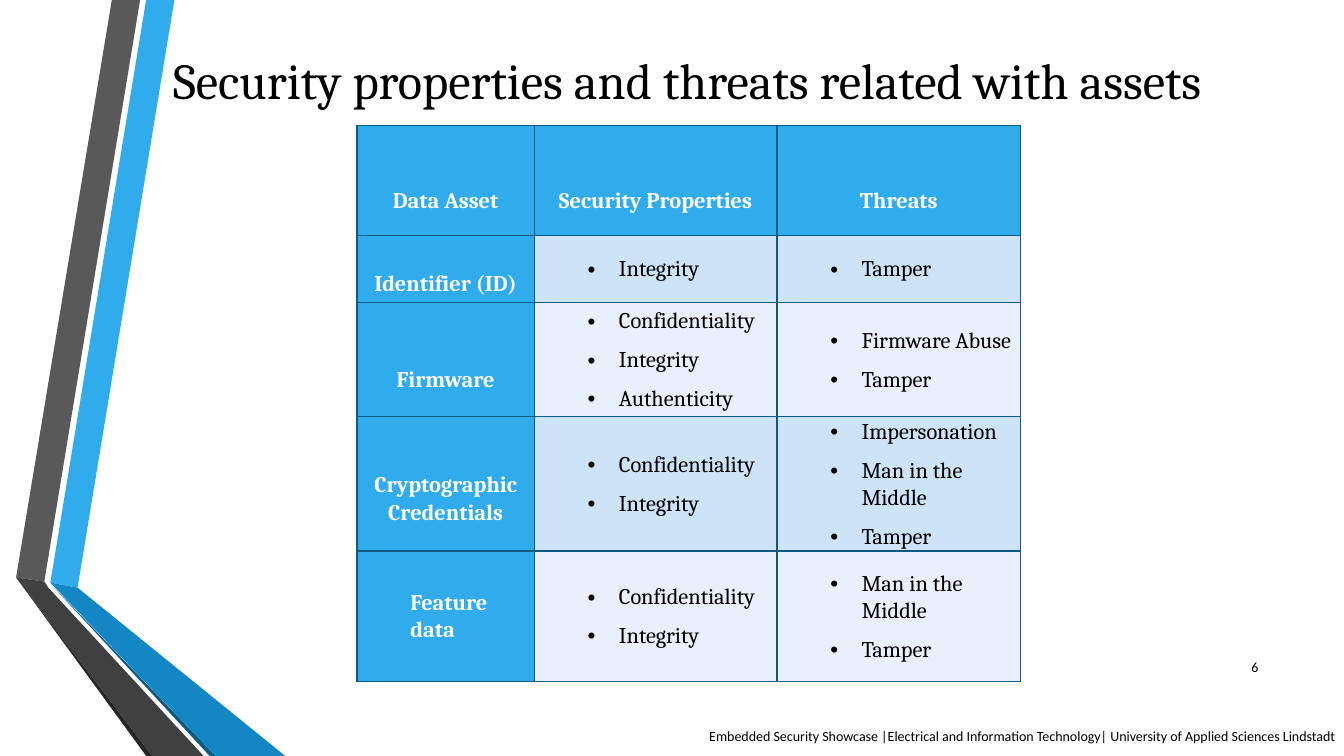
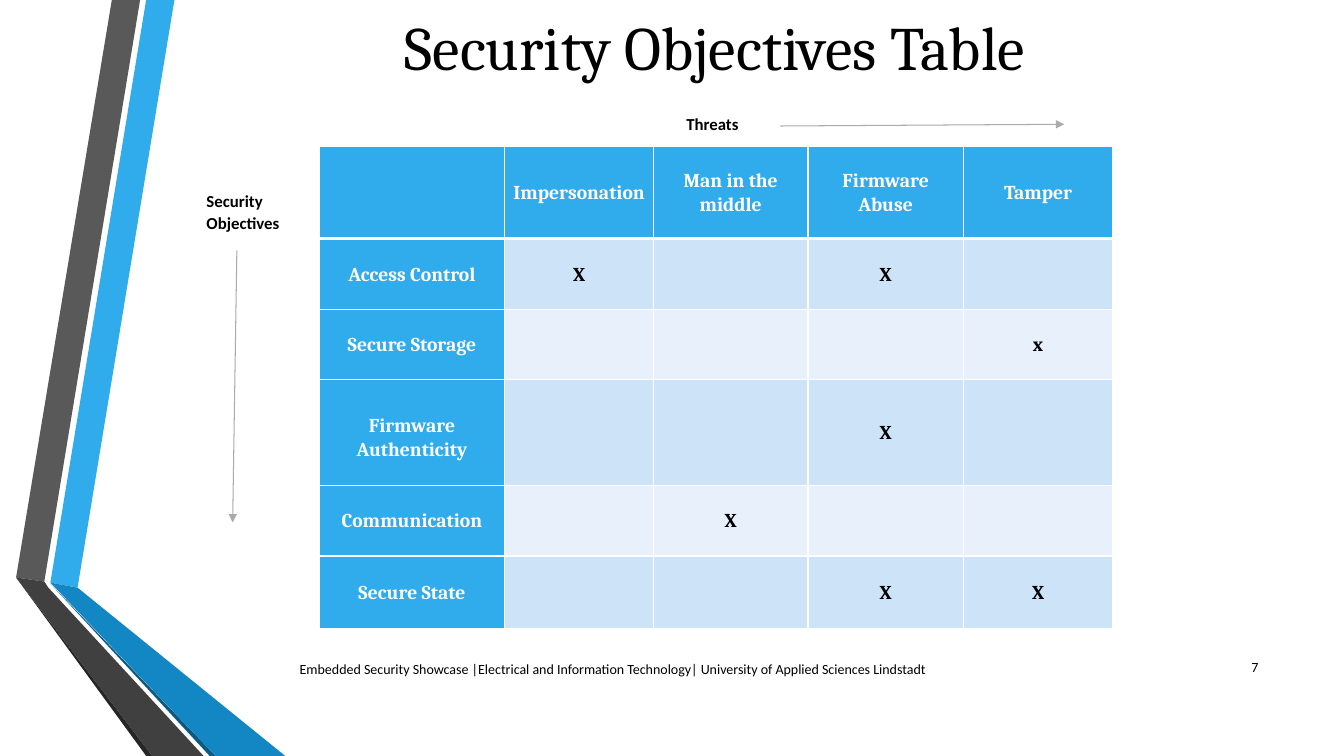
from dataclasses import dataclass

from lxml import etree
from pptx import Presentation
from pptx.dml.color import RGBColor
from pptx.enum.shapes import MSO_CONNECTOR
from pptx.enum.text import MSO_ANCHOR, MSO_AUTO_SIZE, PP_ALIGN
from pptx.oxml.ns import qn
from pptx.util import Inches, Pt

LEFT, CENTER, RIGHT = PP_ALIGN.LEFT, PP_ALIGN.CENTER, PP_ALIGN.RIGHT
TOP, MIDDLE = MSO_ANCHOR.TOP, MSO_ANCHOR.MIDDLE
NO_FIT = MSO_AUTO_SIZE.NONE
STRAIGHT = MSO_CONNECTOR.STRAIGHT

WIDTH, HEIGHT = Inches(13.33), Inches(7.5)
GRID_COLUMNS, GRID_ROWS = 160, 90
TITLE_ONLY = 5
FIRST_NUMBER = 6
PLAIN_TABLE = "{2D5ABB26-0587-4C30-8999-92F81FD0307C}"
FOOTER = ("Embedded Security Showcase |Electrical and Information Technology"
          "| University of Applied Sciences Lindstadt")


@dataclass(frozen=True)
class Theme:
    accent: str = "30ACEC"
    accent_dark: str = "1287C3"
    accent_deep: str = "0C5A82"
    gray: str = "595959"
    gray_dark: str = "404040"
    gray_deep: str = "262626"
    arrow: str = "ABABAB"
    band_dark: str = "CDE3F8"
    band_light: str = "E8F1FB"
    ink: str = "000000"
    white: str = "FFFFFF"
    serif: str = "Cambria"
    sans: str = "Calibri"
    footer_size: int = 10
    label_size: int = 12
    matrix_size: int = 14
    asset_size: int = 16
    line_spacing: float = 1.07
    space_after: int = 8


THEME = Theme()

RIBBONS = [
    (THEME.accent, [(0.5, 5.78), (0.77, 5.83), (1.73, 0), (1.45, 0)]),
    (THEME.gray, [(1.39, 0), (1.11, 0), (0.16, 5.73), (0.44, 5.77)]),
    (THEME.gray_deep, [(0.16, 5.73), (1.45, 7.5), (1.51, 7.5)]),
    (THEME.accent_deep, [(0.5, 5.79), (2.08, 7.5), (2.14, 7.5)]),
    (THEME.accent_dark, [(0.5, 5.78), (2.14, 7.5), (2.83, 7.5), (0.77, 5.83)]),
    (THEME.gray_dark, [(0.16, 5.73), (1.51, 7.5), (2.02, 7.5), (0.48, 5.83), (0.44, 5.77)]),
]

ASSET_HEADS = ["Data Asset", "Security Properties", "Threats"]
ASSETS = [
    ("Identifier (ID)", ["Integrity"], ["Tamper"]),
    ("Firmware", ["Confidentiality", "Integrity", "Authenticity"],
     ["Firmware Abuse", "Tamper"]),
    ("Cryptographic Credentials", ["Confidentiality", "Integrity"],
     ["Impersonation", "Man in the Middle", "Tamper"]),
    ("Feature\vdata", ["Confidentiality", "Integrity"],
     ["Man in the Middle", "Tamper"]),
]
ASSET_DROPS = [0.4, 0.29, 0.4, 0.29, 0]

THREATS = ["", "Impersonation", "Man in the middle", "Firmware Abuse", "Tamper"]
OBJECTIVES = [
    ("Access Control", "X", "", "X", ""),
    ("Secure Storage", "", "", "", "x"),
    ("Firmware Authenticity", "", "", "X", ""),
    ("Communication", "", "X", "", ""),
    ("Secure State", "", "", "X", "X"),
]


def across(columns):
    return round(WIDTH * columns / GRID_COLUMNS)


def down(rows):
    return round(HEIGHT * rows / GRID_ROWS)


def place(box):
    left, top, width, height = box
    return across(left), down(top), across(width), down(height)


def color(value):
    return RGBColor.from_string(value)


def style(para, face, size, ink=THEME.ink, bold=False, align=LEFT):
    para.alignment = align
    font = para.font
    font.name, font.size, font.bold = face, Pt(size), bold
    font.color.rgb = color(ink)


def space(para):
    para.line_spacing = THEME.line_spacing
    para.space_after = Pt(THEME.space_after)


def indent(para, left, first=0):
    properties = para._p.get_or_add_pPr()
    properties.set("marL", str(Inches(left)))
    properties.set("indent", str(Inches(first)))
    return properties


def bullet(para):
    properties = indent(para, 0.81, -0.31)
    etree.SubElement(properties, qn("a:buFont"), typeface="Arial")
    etree.SubElement(properties, qn("a:buChar"), char="•")


def add_ribbons(page, layout):
    tree = layout.element.cSld.spTree
    for position, (fill, points) in enumerate(RIBBONS, start=2):
        corners = [(Inches(x), Inches(y)) for x, y in points]
        builder = page.shapes.build_freeform(*corners[0])
        builder.add_line_segments(corners[1:], close=True)
        ribbon = builder.convert_to_shape()
        ribbon.shadow.inherit = False
        ribbon.fill.solid()
        ribbon.fill.fore_color.rgb = color(fill)
        ribbon.line.fill.background()
        tree.insert(position, ribbon.element)


def add_title(page, box, text, size, align):
    title = page.shapes.title
    title.left, title.top, title.width, title.height = place(box)
    frame = title.text_frame
    frame.text = text
    frame.auto_size = NO_FIT
    frame.vertical_anchor = MIDDLE
    style(frame.paragraphs[0], THEME.serif, size, align=align)


def add_text(page, box, text, size, align=LEFT, bold=False, anchor=TOP):
    frame = page.shapes.add_textbox(*place(box)).text_frame
    frame.word_wrap = True
    frame.vertical_anchor = anchor
    para = frame.paragraphs[0]
    para.text = text
    style(para, THEME.sans, size, bold=bold, align=align)
    return para


def add_footer(page, box, align, number):
    add_text(page, box, FOOTER, THEME.footer_size, align, anchor=MIDDLE)
    para = add_text(page, (143.8, 77, 7.2, 4.8), "", THEME.footer_size, RIGHT, anchor=MIDDLE)
    field = etree.SubElement(para._p, qn("a:fld"), type="slidenum",
                             id="{B6F15528-21DE-4FAA-801E-634DDDAF4B2B}")
    etree.SubElement(field, qn("a:rPr"), lang="en-US")
    etree.SubElement(field, qn("a:t")).text = str(number)


def add_arrow(page, start, end):
    arrow = page.shapes.add_connector(
        STRAIGHT, across(start[0]), down(start[1]), across(end[0]), down(end[1]))
    arrow.line.color.rgb = color(THEME.arrow)
    arrow.line.width = Pt(0.75)
    properties = arrow.element.spPr
    etree.SubElement(properties.find(qn("a:ln")), qn("a:tailEnd"), type="triangle")
    etree.SubElement(properties, qn("a:effectLst"))


def set_borders(cell, ink, widths):
    properties = cell._tc.get_or_add_tcPr()
    for position, (side, width) in enumerate(widths.items()):
        line = etree.Element(qn("a:ln" + side), w=str(Pt(width)))
        fill = etree.SubElement(line, qn("a:solidFill"))
        etree.SubElement(fill, qn("a:srgbClr"), val=ink)
        properties.insert(position, line)


def add_table(page, corner, columns, rows, border, header_rule, side_margin):
    box = (*corner, sum(columns), sum(rows))
    frame = page.shapes.add_table(len(rows), len(columns), *place(box))
    for identifier in frame.element.iter(qn("a:tableStyleId")):
        identifier.text = PLAIN_TABLE
    table = frame.table
    table.first_row = table.horz_banding = False
    for column, width in zip(table.columns, columns):
        column.width = across(width)
    for row, height in zip(table.rows, rows):
        row.height = down(height)
    for row in range(len(rows)):
        for column in range(len(columns)):
            cell = table.cell(row, column)
            band = THEME.band_dark if row % 2 else THEME.band_light
            cell.fill.solid()
            cell.fill.fore_color.rgb = color(band if row and column else THEME.accent)
            cell.vertical_anchor = MIDDLE
            cell.margin_left = cell.margin_right = Inches(side_margin)
            cell.margin_top = cell.margin_bottom = 0
            set_borders(cell, border, {
                "L": 1, "R": 1,
                "T": header_rule if row == 1 else 1,
                "B": header_rule if row == 0 else 1})
    return table


def write_cell(cell, text, size, ink, drop=0):
    cell.margin_top = Inches(drop)
    para = cell.text_frame.paragraphs[0]
    para.text = text
    space(para)
    style(para, THEME.serif, size, ink, True, CENTER)
    return para


def write_bullets(cell, items):
    frame = cell.text_frame
    for position, item in enumerate(items):
        para = frame.add_paragraph() if position else frame.paragraphs[0]
        para.text = item
        space(para)
        bullet(para)
        style(para, THEME.serif, THEME.asset_size)


def build_assets(page, number):
    table = add_table(page, (42.5, 14.9), [21.1, 28.9, 29], [13.1, 8, 13.6, 16, 15.5],
                      THEME.accent_deep, 1, 0.03)
    for column, head in enumerate(ASSET_HEADS):
        write_cell(table.cell(0, column), head, THEME.asset_size, THEME.white, ASSET_DROPS[0])
    for row, (asset, *lists) in enumerate(ASSETS, start=1):
        label = write_cell(table.cell(row, 0), asset, THEME.asset_size,
                           THEME.white, ASSET_DROPS[row])
        for column, items in enumerate(lists, start=1):
            write_bullets(table.cell(row, column), items)
    label.alignment = LEFT
    indent(label, 0.5)
    add_footer(page, (67.1, 85.2, 93, 4.8), RIGHT, number)
    add_title(page, (19.4, 5.2, 131.5, 8.6),
              "Security properties and threats related with assets", 36, LEFT)


def build_objectives(page, number):
    add_title(page, (19.4, 0.1, 131.5, 10.8), "Security Objectives Table", 44, CENTER)
    add_footer(page, (34.5, 77.2, 93, 4.8), LEFT, number)
    table = add_table(page, (38, 17.4), [22.1, 17.7, 18.4, 18.5, 17.8],
                      [11, 8.4, 8.4, 12.6, 8.4, 8.6], THEME.white, 3, 0.05)
    for row, texts in enumerate([THREATS, *OBJECTIVES]):
        for column, text in enumerate(texts):
            ink = THEME.ink if row and column else THEME.white
            drop = 0.1 if text == "Firmware Authenticity" else 0
            write_cell(table.cell(row, column), text, THEME.matrix_size, ink, drop)
    add_arrow(page, (92.9, 15), (126.7, 14.8))
    add_arrow(page, (28.2, 29.8), (27.7, 62.2))
    space(add_text(page, (23.4, 22, 16.8, 10.2), "Security\vObjectives",
                   THEME.label_size, bold=True))
    space(add_text(page, (76.4, 12.8, 12.7, 6.2), "Threats",
                   THEME.label_size, RIGHT, bold=True))


def main():
    deck = Presentation()
    deck.slide_width, deck.slide_height = WIDTH, HEIGHT
    deck.element.set("firstSlideNum", str(FIRST_NUMBER))
    layout = deck.slide_layouts[TITLE_ONLY]
    builders = [build_assets, build_objectives]
    pages = [deck.slides.add_slide(layout) for _ in builders]
    add_ribbons(pages[0], layout)
    for number, (page, build) in enumerate(zip(pages, builders), start=FIRST_NUMBER):
        build(page, number)
    deck.save("out.pptx")


if __name__ == "__main__":
    main()
